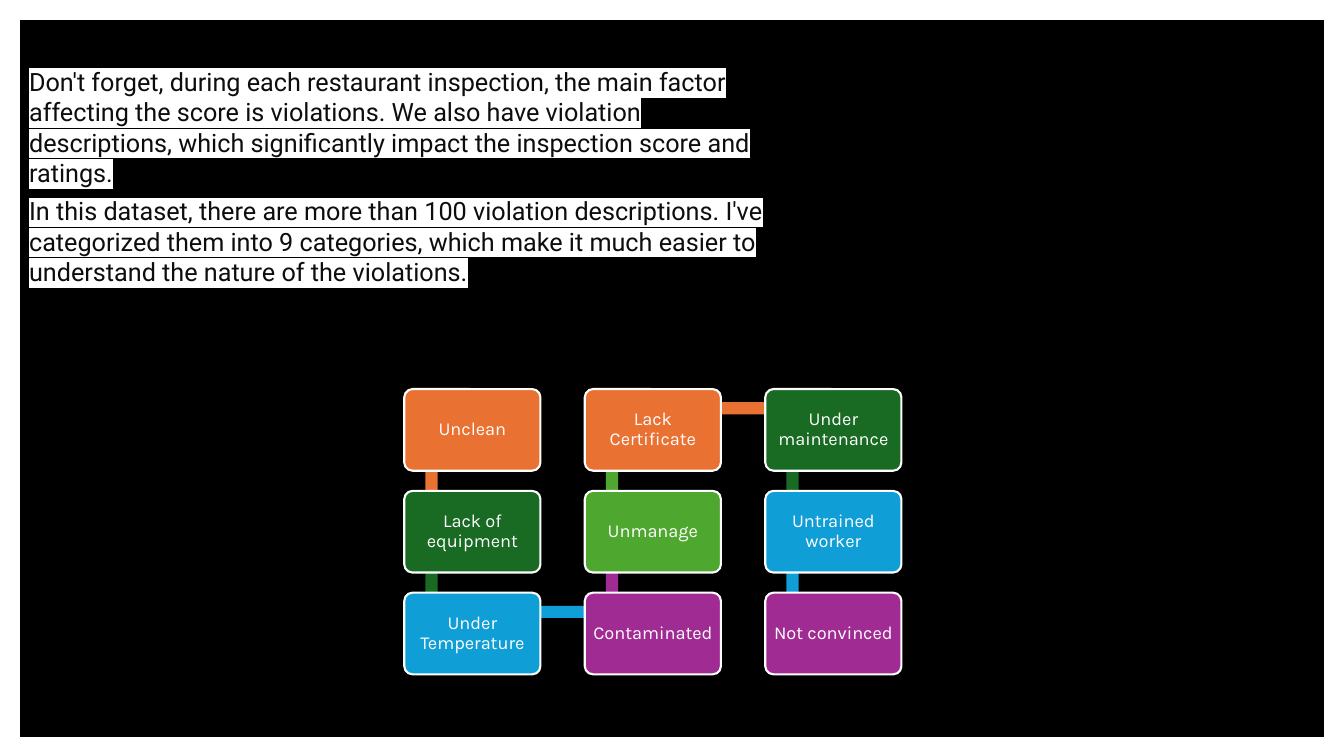
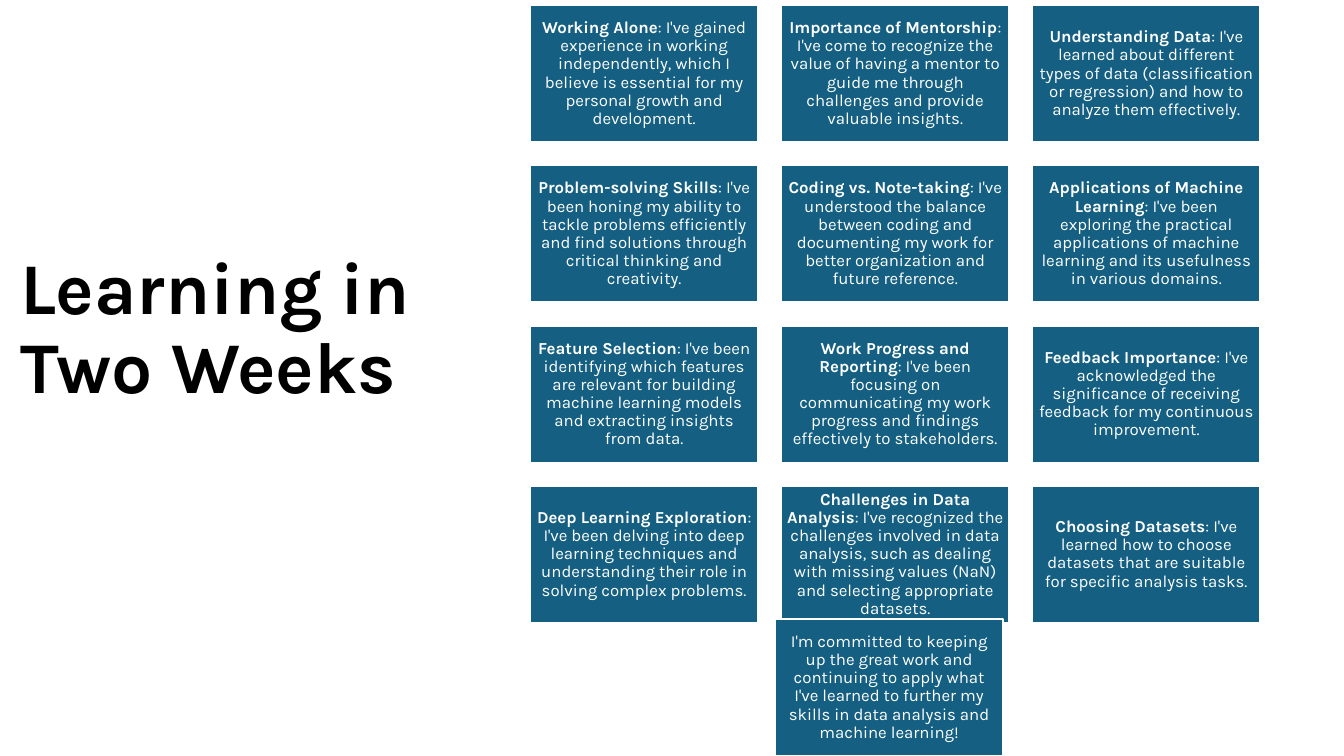
from lxml.etree import SubElement
from pptx import Presentation
from pptx.dml.color import RGBColor as Rgb
from pptx.enum.shapes import MSO_SHAPE as Kind
from pptx.enum.text import MSO_ANCHOR as Anchor, PP_ALIGN as Align
from pptx.oxml.ns import qn
from pptx.util import Inches, Pt

HUES = {
    "white": "FFFFFF", "black": "000000", "ink": "0D0D0D",
    "orange": "E97132", "pine": "196B24", "blue": "0F9ED5",
    "plum": "A02B93", "green": "4EA72E", "teal": "156082",
}
KARLA = "Karla"
BODY = {"size": Pt(18), "name": "Roboto"}
TITLE = {"size": Pt(52), "name": KARLA, "bold": True}
STEP = {"size": Pt(13), "name": KARLA}
CARD = {"size": Pt(12), "name": KARLA}
TIGHT = {"line_spacing": 0.9}
SPACED = {"space_after": Pt(6)}
MIDDLE = {"word_wrap": True, "vertical_anchor": Anchor.MIDDLE}
SNUG = {**MIDDLE, **{f"margin_{side}": Inches(0.05)
                     for side in ("left", "top", "right", "bottom")}}

NOTES = [
    "Don't forget, during each restaurant inspection, the main factor affecting the score is violations. We also have violation descriptions, which significantly impact the inspection score and ratings.",
    "In this dataset, there are more than 100 violation descriptions. I've categorized them into 9 categories, which make it much easier to understand the nature of the violations.",
]
STEPS = [
    "Unclean", "Lack of equipment", "Under Temperature",
    "Contaminated", "Unmanage", "Lack Certificate",
    "Under maintenance", "Untrained worker", "Not convinced",
]
CYCLE = ["orange", "pine", "blue", "plum", "green"]
CARDS = [
    ("Working Alone", ": I've gained experience in working independently, which I believe is essential for my personal growth and development."),
    ("Importance of Mentorship", ": I've come to recognize the value of having a mentor to guide me through challenges and provide valuable insights."),
    ("Understanding Data", ": I've learned about different types of data (classification or regression) and how to analyze them effectively."),
    ("Problem-solving Skills", ": I've been honing my ability to tackle problems efficiently and find solutions through critical thinking and creativity."),
    ("Coding vs. Note-taking", ": I've understood the balance between coding and documenting my work for better organization and future reference."),
    ("Applications of Machine Learning", ": I've been exploring the practical applications of machine learning and its usefulness in various domains."),
    ("Feature Selection", ": I've been identifying which features are relevant for building machine learning models and extracting insights from data."),
    ("Work Progress and Reporting", ": I've been focusing on communicating my work progress and findings effectively to stakeholders."),
    ("Feedback Importance", ": I've acknowledged the significance of receiving feedback for my continuous improvement."),
    ("Deep Learning Exploration", ": I've been delving into deep learning techniques and understanding their role in solving complex problems."),
    ("Challenges in Data Analysis", ": I've recognized the challenges involved in data analysis, such as dealing with missing values (NaN) and selecting appropriate datasets."),
    ("Choosing Datasets", ": I've learned how to choose datasets that are suitable for specific analysis tasks."),
]
CLOSING = "I'm committed to keeping up the great work and continuing to apply what I've learned to further my skills in data analysis and machine learning!"


def apply(item, form):
    for key, value in form.items():
        setattr(item, key, value)


def paint(hue):
    return Rgb.from_string(HUES[hue])


def place(box):
    return [Inches(value) for value in box]


def add_run(para, text, form, hue, back=None):
    run = para.add_run()
    run.text = text
    apply(run.font, form)
    run.font.color.rgb = paint(hue)
    if back:
        props = run.font._element
        mark = SubElement(props, qn("a:highlight"))
        SubElement(mark, qn("a:srgbClr")).set("val", HUES[back])
        props.find(qn("a:solidFill")).addnext(mark)


def add_block(slide, box, hue, kind=Kind.RECTANGLE, edge=None):
    block = slide.shapes.add_shape(kind, *place(box))
    block.shadow.inherit = False
    block.fill.solid()
    block.fill.fore_color.rgb = paint(hue)
    if edge:
        block.line.color.rgb = paint(edge)
        block.line.width = Pt(1.5)
    else:
        block.line.fill.background()
    return block


def add_label(block, parts, form):
    apply(block.text_frame, SNUG)
    para = block.text_frame.paragraphs[0]
    apply(para, {**TIGHT, "alignment": Align.CENTER})
    for text, bold in parts:
        add_run(para, text, {**form, "bold": bold}, "white")


def add_text(slide, box, lines, frame, para_form, form, hue, back=None):
    body = slide.shapes.add_textbox(*place(box)).text_frame
    apply(body, frame)
    for count, line in enumerate(lines):
        para = body.add_paragraph() if count else body.paragraphs[0]
        apply(para, para_form)
        add_run(para, line, form, hue, back)


def add_flow(slide, left, top):
    wide, high, thick = 1.35, 0.81, 0.12
    across, down, rows = 1.79, 1.01, 3
    for count, name in enumerate(STEPS):
        col, turn = divmod(count, rows)
        row = rows - 1 - turn if col % 2 else turn
        x, y = left + col * across, top + row * down
        hue = CYCLE[count % len(CYCLE)]
        if count < len(STEPS) - 1:
            if turn == rows - 1:
                bar = (x + 0.27, y + 0.13, across, thick)
            else:
                start = y - down if col % 2 else y
                bar = (x + 0.21, start + 0.2, thick, down)
            add_block(slide, bar, hue)
        block = add_block(slide, (x, y, wide, high), hue,
                          Kind.ROUNDED_RECTANGLE, "white")
        block.adjustments[0] = 0.1
        add_label(block, [(name, False)], STEP)


def add_cards(slide, left, top):
    wide, high, gap, cols = 2.26, 1.36, 0.23, 3
    cells = []
    for count, (head, rest) in enumerate(CARDS):
        row, col = divmod(count, cols)
        spot = (left + col * (wide + gap), top + row * (high + gap))
        cells.append((spot, [(head, True), (rest, False)]))
    cells.append(((left + 2.43, top + 6.09), [(CLOSING, False)]))
    for spot, parts in cells:
        block = add_block(slide, (*spot, wide, high), "teal", edge="white")
        add_label(block, parts, CARD)


def build_flow(slide):
    add_block(slide, (0.2, 0.2, 12.93, 7.11), "black")
    add_text(slide, (0.19, 0.61, 7.62, 2), NOTES, {"word_wrap": True},
             SPACED, BODY, "ink", "white")
    add_flow(slide, 4.01, 3.86)


def build_cards(slide):
    add_text(slide, (0.1, 0.23, 5.32, 6.09), ["Learning in Two Weeks"],
             MIDDLE, {**TIGHT, **SPACED}, TITLE, "black")
    add_cards(slide, 5.26, 0.05)


def main():
    deck = Presentation()
    apply(deck, {"slide_width": Inches(13.33), "slide_height": Inches(7.5)})
    for build in (build_flow, build_cards):
        build(deck.slides.add_slide(deck.slide_layouts[6]))
    deck.save("out.pptx")


if __name__ == "__main__":
    main()
